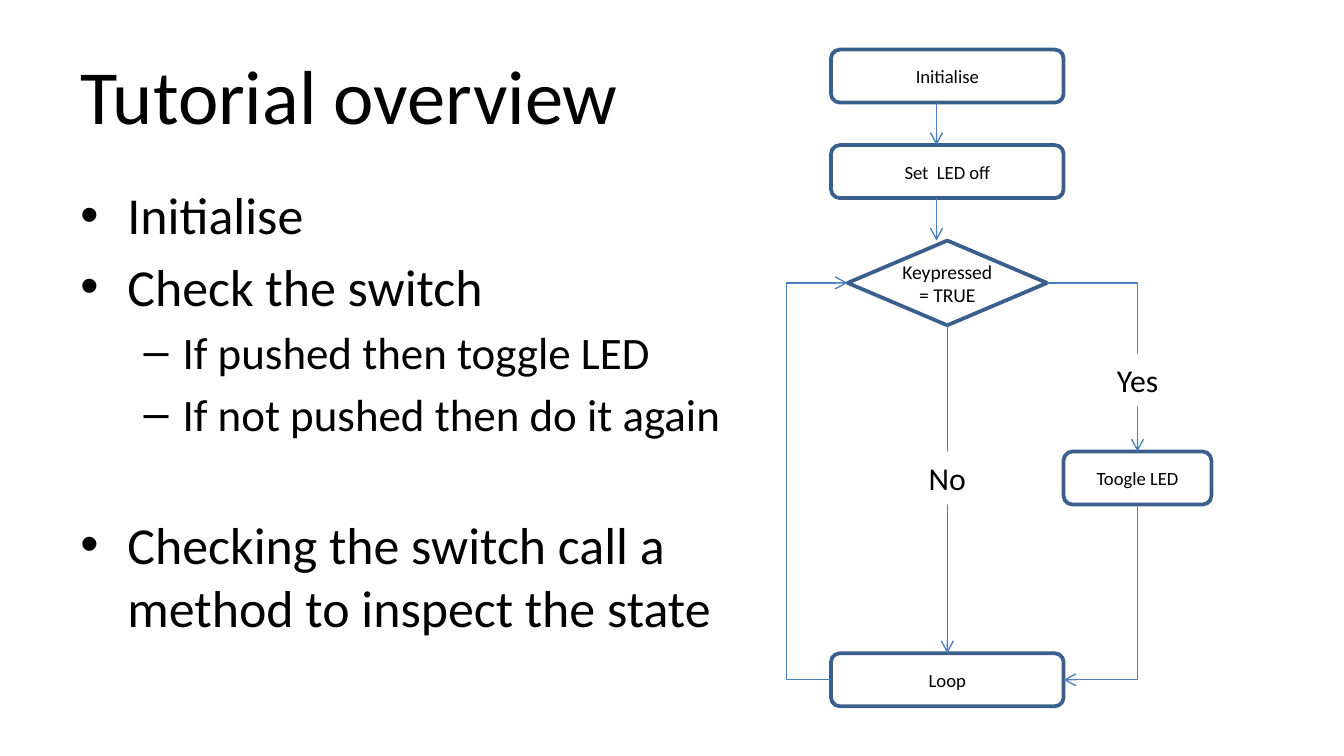
from collections import namedtuple

from lxml.etree import SubElement
from pptx import Presentation
from pptx.dml.color import RGBColor
from pptx.enum.shapes import MSO_CONNECTOR as LINK, MSO_SHAPE as SHAPE
from pptx.enum.text import MSO_ANCHOR as ANCHOR, PP_ALIGN as ALIGN
from pptx.oxml.ns import qn
from pptx.util import Pt

FONT = "Calibri"
BLACK, WHITE, OUTLINE, ARROW = "000000", "FFFFFF", "3A5F8C", "4B7EBC"

Box = namedtuple("Box", "left top width height")


def color(value):
    return RGBColor.from_string(value)


def points(box):
    return [Pt(value) for value in box]


def write(para, text, size=10, align=ALIGN.LEFT, before=0):
    para.alignment = align
    para.space_before = Pt(before)
    span = para.add_run()
    span.text = text
    span.font.name = FONT
    span.font.size = Pt(size)
    span.font.color.rgb = color(BLACK)


def add_text(page, box, anchor=ANCHOR.TOP):
    frame = page.shapes.add_textbox(*points(box)).text_frame
    frame.word_wrap = True
    frame.vertical_anchor = anchor
    return frame


def add_title(page, box, text):
    write(add_text(page, box, ANCHOR.MIDDLE).paragraphs[0], text, size=41)


def add_bullets(page, box, items):
    styles = [("•", 27.8, 25.2, 25.2), ("–", 24.1, 54.7, 20.9)]
    frame = add_text(page, box)
    for index, (level, before, text) in enumerate(items):
        mark, size, margin, hang = styles[level]
        para = frame.add_paragraph() if index else frame.paragraphs[0]
        write(para, text, size=size, before=before)
        para.level = level
        props = para._p.get_or_add_pPr()
        props.set("marL", str(Pt(margin)))
        props.set("indent", str(-Pt(hang)))
        SubElement(props, qn("a:buFont"), typeface="Arial")
        SubElement(props, qn("a:buChar"), char=mark)


def add_node(page, box, text, kind=SHAPE.FLOWCHART_ALTERNATE_PROCESS,
             size=10, line=OUTLINE, inset=None, wrap=True):
    node = page.shapes.add_shape(kind, *points(box))
    node.shadow.inherit = False
    node.fill.solid()
    node.fill.fore_color.rgb = color(WHITE)
    if line:
        node.line.color.rgb = color(line)
        node.line.width = Pt(2)
    else:
        node.line.fill.background()
    frame = node.text_frame
    frame.word_wrap = wrap
    frame.vertical_anchor = ANCHOR.MIDDLE
    if inset is not None:
        frame.margin_left = frame.margin_right = Pt(inset)
        frame.margin_top = frame.margin_bottom = Pt(inset)
    write(frame.paragraphs[0], text, size=size, align=ALIGN.CENTER)


def add_arrow(page, start, end, preset=None, adjust=None, tip="tailEnd"):
    kind = LINK.ELBOW if preset else LINK.STRAIGHT
    arrow = page.shapes.add_connector(kind, *points(start + end))
    arrow.line.color.rgb = color(ARROW)
    arrow.line.width = Pt(0.75)
    props = arrow._element.spPr
    SubElement(props.find(qn("a:ln")), qn(f"a:{tip}"), type="arrow")
    SubElement(props, qn("a:effectLst"))
    if preset:
        shape = props.find(qn("a:prstGeom"))
        shape.set("prst", preset)
        if adjust is not None:
            guides = shape.find(qn("a:avLst"))
            if guides is None:
                guides = SubElement(shape, qn("a:avLst"))
            SubElement(guides, qn("a:gd"), name="adj1",
                       fmla=f"val {round(adjust * 100000)}")


def add_flowchart(page, box):
    left, top, width, height = box
    step, node_width, node_height = 51.15, 124.6, 28.4
    node_left = left + 23.8
    node_right = node_left + node_width
    center = node_left + node_width / 2
    inlet = center - 5.8
    test = Box(center - 53.4, top + 2 * step, 106.8, 45.4)
    test_middle = test.top + test.height / 2
    loop_top = top + height - node_height
    loop_middle = loop_top + node_height / 2
    toggle = Box(node_right, top + 215.3, 79.2, node_height)
    branch = toggle.left + toggle.width / 2

    for node_top, text in [(top, "Initialise"), (top + step, "Set  LED off"),
                           (loop_top, "Loop")]:
        add_node(page, Box(node_left, node_top, node_width, node_height), text)
    add_node(page, toggle, "Toogle LED")
    add_node(page, test, "Keypressed = TRUE", SHAPE.FLOWCHART_DECISION,
             size=10.5, inset=0)

    for index in range(2):
        node_top = top + index * step
        add_arrow(page, (inlet, node_top + node_height), (inlet, node_top + step))
    add_arrow(page, (center, test.top + test.height), (center, loop_top))
    add_arrow(page, (node_left, loop_middle), (test.left, test_middle),
              "bentConnector3", (left - node_left) / (test.left - node_left))
    add_arrow(page, (test.left + test.width, test_middle), (branch, toggle.top),
              "bentConnector2")
    add_arrow(page, (node_right, loop_middle),
              (branch, toggle.top + node_height), "bentConnector2", tip="headEnd")

    for text, middle, label_top, label_width in [
            ("No", center, toggle.top, 34.6), ("Yes", branch, top + 162.8, 36.7)]:
        add_node(page, Box(middle - label_width / 2, label_top, label_width, 28.4),
                 text, SHAPE.RECTANGLE, size=17, line=None, wrap=False)


def main():
    deck = Presentation()
    deck.slide_width, deck.slide_height = Pt(720), Pt(405)
    page = deck.slides.add_slide(deck.slide_layouts[6])
    add_title(page, Box(36, 16.5, 648, 67.5), "Tutorial overview")
    add_bullets(page, Box(36, 94.5, 375, 267), [
        (0, 0, "Initialise"),
        (0, 4.8, "Check the switch"),
        (1, 4.2, "If pushed then toggle LED"),
        (1, 4.2, "If not pushed then do it again"),
        (0, 39, "Checking the switch call a method to inspect the state"),
    ])
    add_flowchart(page, Box(421.4, 26.6, 221.7, 351.8))
    deck.save("out.pptx")


if __name__ == "__main__":
    main()
